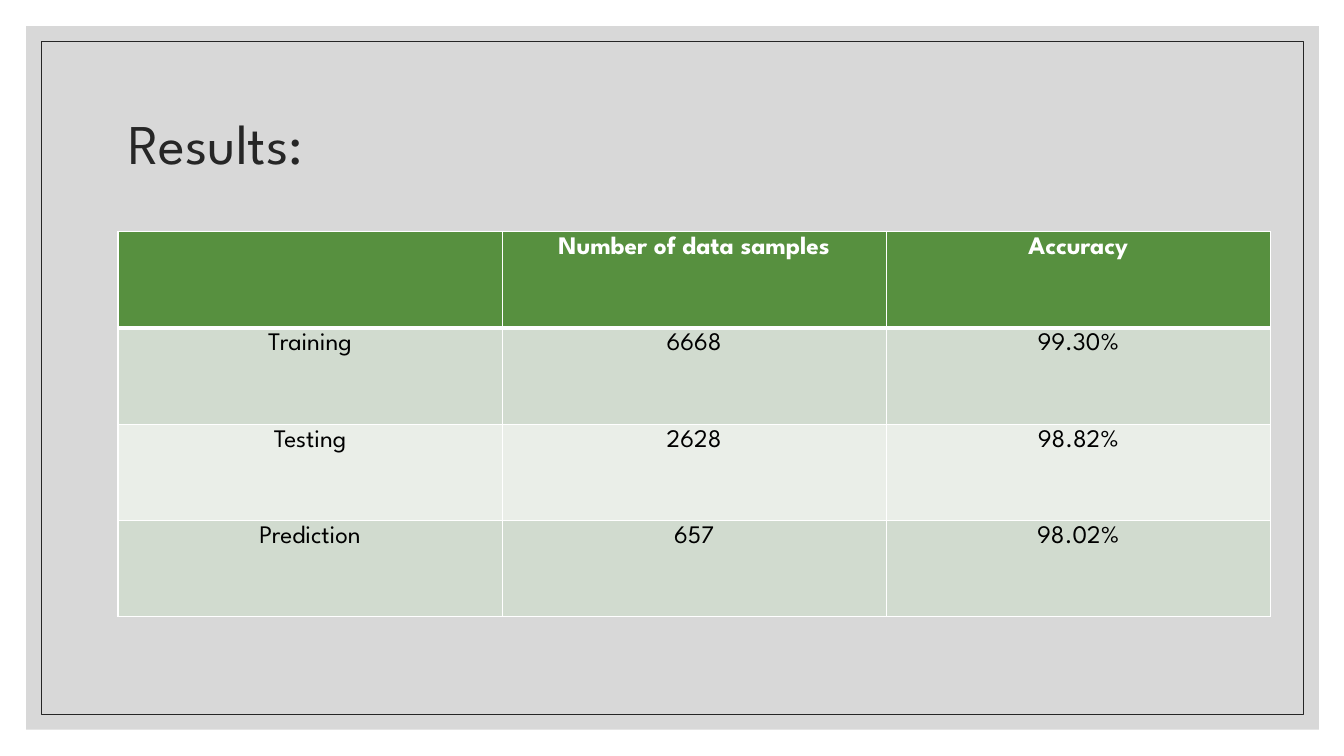
from lxml.etree import SubElement
from pptx import Presentation
from pptx.dml.color import RGBColor
from pptx.enum.shapes import MSO_SHAPE
from pptx.enum.text import MSO_ANCHOR, PP_ALIGN
from pptx.oxml import parse_xml
from pptx.oxml.ns import nsdecls, qn
from pptx.util import Inches, Pt

# Content
TITLE = "Results:"
ROWS = [
    ("", "Number of data samples", "Accuracy"),
    ("Training", "6668", "99.30%"),
    ("Testing", "2628", "98.82%"),
    ("Prediction", "657", "98.02%"),
]

# Style
FONT = "League Spartan"
WHITE = RGBColor(0xFF, 0xFF, 0xFF)
BLACK = RGBColor(0x00, 0x00, 0x00)
DARK = RGBColor(0x26, 0x26, 0x26)
GRAY = RGBColor(0xBF, 0xBF, 0xBF)
GREEN = RGBColor(0x57, 0x90, 0x3F)
BANDS = [RGBColor(0xEA, 0xEE, 0xE8), RGBColor(0xD1, 0xDB, 0xCF)]
COL_W, ROW_H = 3.81, 0.955


def add_panel(s, inset, width, height):
    sp = s.shapes.add_shape(MSO_SHAPE.RECTANGLE, Inches(inset), Inches(inset),
                            Inches(width), Inches(height))
    sp.shadow.inherit = False
    return sp


def set_borders(cell, bottom):
    tcPr = cell._tc.get_or_add_tcPr()
    widths = {"lnL": 1, "lnR": 1, "lnT": 1, "lnB": bottom}
    for i, (tag, width) in enumerate(widths.items()):
        tcPr.insert(i, parse_xml(
            f'<a:{tag} {nsdecls("a")} w="{Pt(width)}"><a:solidFill>'
            f'<a:srgbClr val="{WHITE}"/></a:solidFill></a:{tag}>'))


prs = Presentation()
prs.slide_width, prs.slide_height = Inches(13.33), Inches(7.5)
s = prs.slides.add_slide(prs.slide_layouts[5])
s.background.fill.solid()
s.background.fill.fore_color.rgb = WHITE

# Translucent panel and thin frame
panel = add_panel(s, 0.26, 12.82, 6.98)
panel.fill.solid()
panel.fill.fore_color.rgb = GRAY
panel.line.fill.background()
color = panel._element.spPr.find(qn("a:solidFill"))[0]
SubElement(color, qn("a:alpha")).set("val", "60000")

frame = add_panel(s, 0.41, 12.52, 6.68)
frame.fill.background()
frame.line.color.rgb = DARK
frame.line.width = Pt(0.5)

# Title, raised above the panel
title = s.shapes.title
s.shapes._spTree.append(title._element)
title.left, title.top = Inches(1.17), Inches(0.7)
title.width, title.height = Inches(11), Inches(1.5)
tf = title.text_frame
tf.text = TITLE
tf.vertical_anchor = MSO_ANCHOR.MIDDLE
p = tf.paragraphs[0]
p.alignment = PP_ALIGN.LEFT
p.line_spacing = 0.9
p.font.name, p.font.size, p.font.color.rgb = FONT, Pt(40), DARK

# Results table
n_rows, n_cols = len(ROWS), len(ROWS[0])
table = s.shapes.add_table(n_rows, n_cols, Inches(1.17), Inches(2.3),
                           Inches(COL_W * n_cols), Inches(ROW_H * n_rows)).table
for r, row in enumerate(ROWS):
    header = r == 0
    for c, text in enumerate(row):
        cell = table.cell(r, c)
        cell.text = text
        cell.fill.solid()
        cell.fill.fore_color.rgb = GREEN if header else BANDS[r % 2]
        set_borders(cell, bottom=3 if header else 1)
        p = cell.text_frame.paragraphs[0]
        p.alignment = PP_ALIGN.CENTER
        p.font.name, p.font.size, p.font.bold = FONT, Pt(18), header
        p.font.color.rgb = WHITE if header else BLACK

prs.save("out.pptx")
